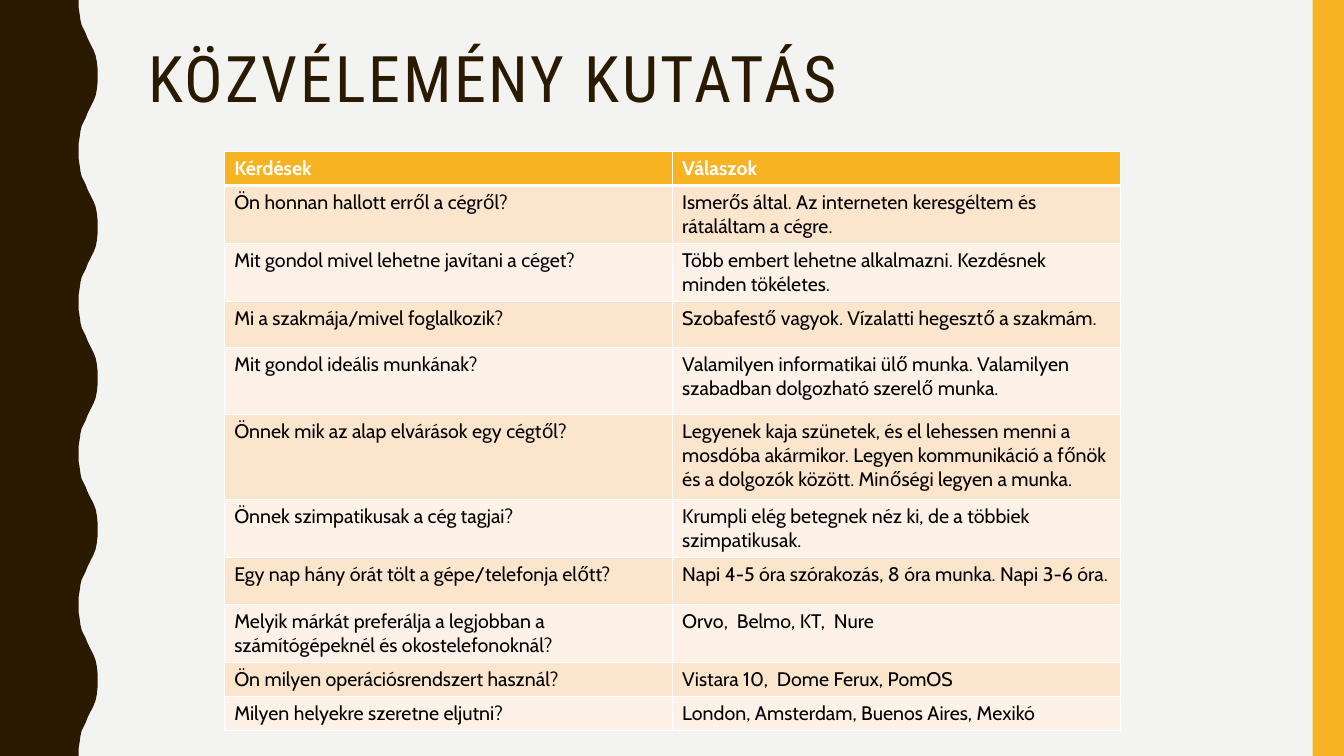
from dataclasses import dataclass

from lxml import etree
from pptx import Presentation
from pptx.dml.color import RGBColor
from pptx.enum.shapes import MSO_SHAPE as Shape
from pptx.enum.text import MSO_ANCHOR as Anchor, MSO_AUTO_SIZE as AutoSize, PP_ALIGN as Align
from pptx.oxml.ns import qn
from pptx.util import Cm, Pt


@dataclass(frozen=True)
class Theme:
    background: str = "F3F3F2"
    dark: str = "2A1A00"
    accent: str = "F8B323"
    bands: tuple = ("FCE5CD", "FEF2E8")
    white: str = "FFFFFF"
    black: str = "000000"
    title_font: str = "Roboto Condensed"
    body_font: str = "Cabin"
    title_size: float = 45.9
    body_size: float = 14


def write_text(frame, text, font, size, color, bold=False, spacing=0, line_spacing=1.0):
    paragraph = frame.paragraphs[0]
    paragraph.alignment = Align.LEFT
    paragraph.line_spacing = line_spacing
    run = paragraph.add_run()
    run.text = text
    run.font.name = font
    run.font.size = Pt(size)
    run.font.bold = bold
    run.font.color.rgb = RGBColor.from_string(color)
    if spacing:
        run._r.get_or_add_rPr().set("spc", str(spacing * 100))


def set_borders(cell, color, widths):
    properties = cell._tc.get_or_add_tcPr()
    for index, (side, width) in enumerate(widths.items()):
        line = etree.Element(qn(f"a:ln{side}"), w=str(Pt(width)))
        fill = etree.SubElement(line, qn("a:solidFill"))
        etree.SubElement(fill, qn("a:srgbClr"), val=color)
        properties.insert(index, line)


theme = Theme()
presentation = Presentation()
presentation.slide_width = Cm(33.87)
presentation.slide_height = Cm(19.05)
slide = presentation.slides.add_slide(presentation.slide_layouts[5])
slide.background.fill.solid()
slide.background.fill.fore_color.rgb = RGBColor.from_string(theme.background)

wave_count = 5
wave_height = 19.05 / wave_count
rising = [
    (1.98, 0), (1.98, 0.18), (2.01, 0.36), (2.03, 0.51), (2.06, 0.64),
    (2.11, 0.74), (2.16, 0.84), (2.21, 0.97), (2.26, 1.07), (2.31, 1.17),
    (2.36, 1.27), (2.41, 1.4), (2.44, 1.55), (2.46, 1.73), (2.46, 1.9),
]
wave = rising + [(x, wave_height - y) for x, y in reversed(rising)]
edge = [(Cm(x), Cm(y + index * wave_height)) for index in range(wave_count) for x, y in wave]
builder = slide.shapes.build_freeform(0, 0)
builder.add_line_segments(edge + [(0, Cm(19.05))], close=True)
wavy_band = builder.convert_to_shape()
side_bar = slide.shapes.add_shape(Shape.RECTANGLE, Cm(33.08), 0, Cm(0.79), Cm(19.05))
for shape, color in ((wavy_band, theme.dark), (side_bar, theme.accent)):
    shape.shadow.inherit = False
    shape.fill.solid()
    shape.fill.fore_color.rgb = RGBColor.from_string(color)
    shape.line.fill.background()

title = slide.shapes.title
title.left, title.top, title.width, title.height = Cm(3.48), Cm(1.07), Cm(28.27), Cm(1.96)
title.text_frame.auto_size = AutoSize.NONE
title.text_frame.vertical_anchor = Anchor.MIDDLE
write_text(title.text_frame, "KÖZVÉLEMÉNY KUTATÁS", font=theme.title_font,
           size=theme.title_size, color=theme.dark, spacing=2, line_spacing=0.9)

survey = [
    (0.82, "Kérdések", "Válaszok"),
    (1.46, "Ön honnan hallott erről a cégről?",
     "Ismerős által. Az interneten keresgéltem és rátaláltam a cégre."),
    (1.46, "Mit gondol mivel lehetne javítani a céget?",
     "Több embert lehetne alkalmazni. Kezdésnek minden tökéletes."),
    (1.17, "Mi a szakmája/mivel foglalkozik?",
     "Szobafestő vagyok. Vízalatti hegesztő a szakmám."),
    (1.68, "Mit gondol ideális munkának?",
     "Valamilyen informatikai ülő munka. Valamilyen szabadban dolgozható szerelő munka."),
    (2.15, "Önnek mik az alap elvárások egy cégtől?",
     "Legyenek kaja szünetek, és el lehessen menni a mosdóba akármikor. "
     "Legyen kommunikáció a főnök és a dolgozók között. Minőségi legyen a munka."),
    (1.46, "Önnek szimpatikusak a cég tagjai?",
     "Krumpli elég betegnek néz ki, de a többiek szimpatikusak."),
    (1.17, "Egy nap hány órát tölt a gépe/telefonja előtt?",
     "Napi 4-5 óra szórakozás, 8 óra munka. Napi 3-6 óra."),
    (1.46, "Melyik márkát preferálja a legjobban a számítógépeknél és okostelefonoknál?",
     "Orvo,  Belmo, KT,  Nure"),
    (0.85, "Ön milyen operációsrendszert használ?", "Vistara 10,  Dome Ferux, PomOS"),
    (0.85, "Milyen helyekre szeretne eljutni?", "London, Amsterdam, Buenos Aires, Mexikó"),
]
table_height = sum(height for height, *_ in survey)
table = slide.shapes.add_table(
    len(survey), 2, Cm(5.65), Cm(3.82), Cm(22.58), Cm(table_height)).table
for row_index, (height, *texts) in enumerate(survey):
    table.rows[row_index].height = Cm(height)
    is_header = row_index == 0
    fill_color = theme.accent if is_header else theme.bands[(row_index - 1) % 2]
    widths = {"L": 1, "R": 1, "T": 3 if row_index == 1 else 1, "B": 3 if is_header else 1}
    for column_index, text in enumerate(texts):
        cell = table.cell(row_index, column_index)
        cell.fill.solid()
        cell.fill.fore_color.rgb = RGBColor.from_string(fill_color)
        set_borders(cell, theme.white, widths)
        write_text(cell.text_frame, text, font=theme.body_font, size=theme.body_size,
                   color=theme.white if is_header else theme.black, bold=is_header)

presentation.save("out.pptx")
